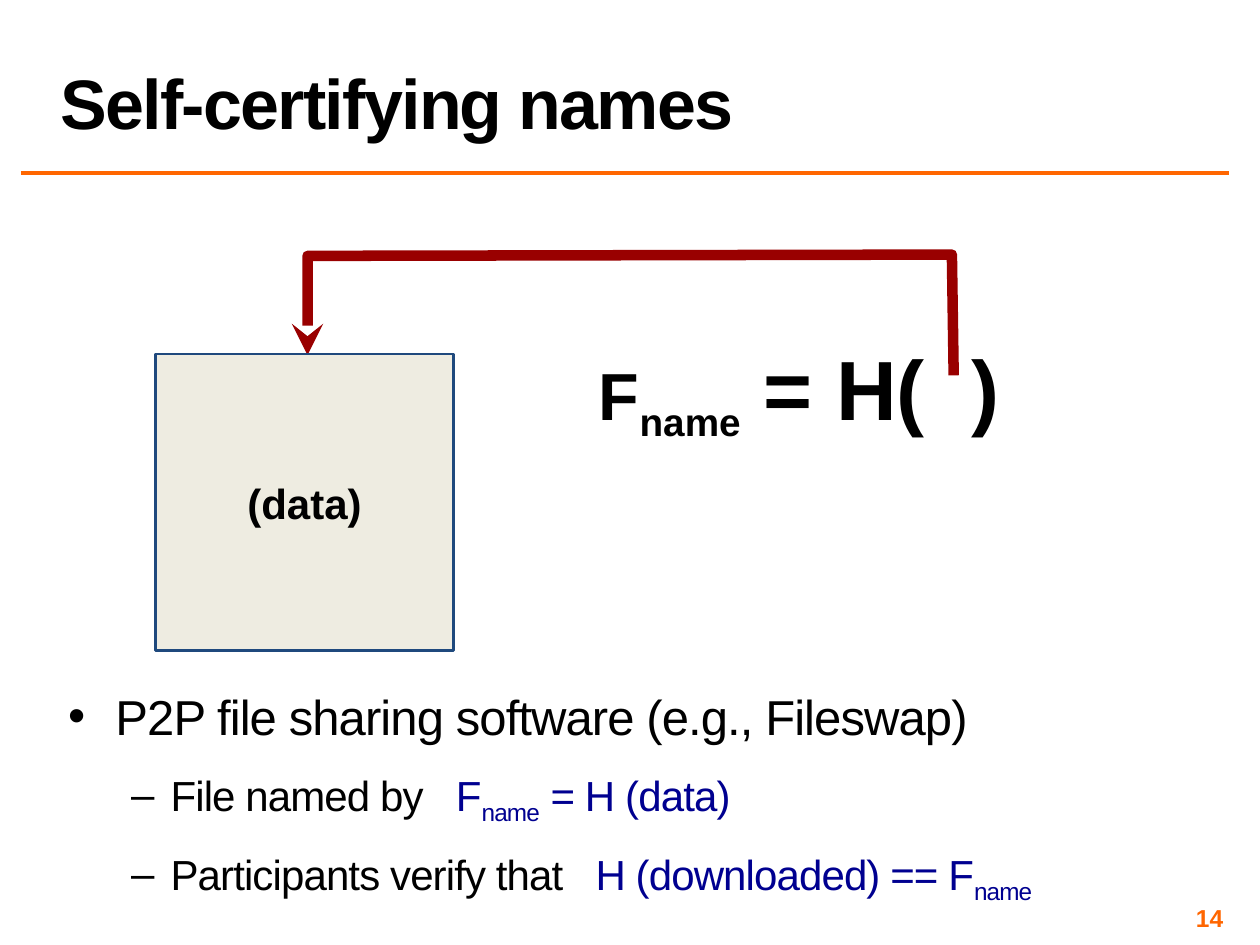
from dataclasses import dataclass

from lxml.etree import SubElement
from pptx import Presentation
from pptx.dml.color import RGBColor
from pptx.enum.shapes import MSO_CONNECTOR, MSO_SHAPE
from pptx.enum.text import MSO_ANCHOR, MSO_AUTO_SIZE, PP_ALIGN
from pptx.oxml.ns import qn
from pptx.util import Pt

COLOURS = {
    "text": "000000",
    "accent": "FF6600",
    "formula": "000090",
    "arrow": "990000",
    "data_fill": "EEECE1",
    "data_line": "1F497D",
}
FONT = "Arial"


@dataclass(frozen=True)
class Span:
    text: str
    colour: str = "text"
    size: float | None = None
    spacing: float = 0
    subscript: bool = False


@dataclass(frozen=True)
class Para:
    spans: tuple[Span, ...]
    size: float
    bold: bool = False
    align: PP_ALIGN = PP_ALIGN.LEFT
    level: int = 0
    bullet: str = ""
    margin: float = 0
    hanging: float = 0
    line_spacing: float = 1
    before: float = 0
    after: float = 0


def colour(name: str) -> RGBColor:
    return RGBColor.from_string(COLOURS[name])


def write_para(paragraph, para: Para) -> None:
    paragraph.alignment = para.align
    paragraph.level = para.level
    paragraph.line_spacing = para.line_spacing
    paragraph.space_before = Pt(para.before)
    paragraph.space_after = Pt(para.after)
    if para.bullet:
        properties = paragraph._p.get_or_add_pPr()
        properties.set("marL", str(Pt(para.margin)))
        properties.set("indent", str(-Pt(para.hanging)))
        SubElement(properties, qn("a:buFont"), typeface=FONT)
        SubElement(properties, qn("a:buChar"), char=para.bullet)
    paragraph.font.name = FONT
    paragraph.font.size = Pt(para.size)
    paragraph.font.bold = para.bold
    for span in para.spans:
        run = paragraph.add_run()
        run.text = span.text
        run.font.color.rgb = colour(span.colour)
        if span.size:
            run.font.size = Pt(span.size)
        if span.spacing:
            run.font._element.set("spc", str(round(span.spacing * 100)))
        if span.subscript:
            run.font._element.set("baseline", "-25000")


def write_text(shape, paras: list[Para], anchor: MSO_ANCHOR,
               inset_x: float, inset_y: float) -> None:
    frame = shape.text_frame
    frame.word_wrap = True
    frame.auto_size = MSO_AUTO_SIZE.NONE
    frame.vertical_anchor = anchor
    frame.margin_left = frame.margin_right = Pt(inset_x)
    frame.margin_top = frame.margin_bottom = Pt(inset_y)
    for index, para in enumerate(paras):
        paragraph = frame.add_paragraph() if index else frame.paragraphs[0]
        write_para(paragraph, para)


def add_text(page, left: float, top: float, width: float, height: float,
             paras: list[Para], inset: float,
             anchor: MSO_ANCHOR = MSO_ANCHOR.TOP) -> None:
    box = page.shapes.add_textbox(Pt(left), Pt(top), Pt(width), Pt(height))
    write_text(box, paras, anchor, inset, inset)


def add_title(page) -> None:
    title = page.shapes.title
    title.left, title.top = Pt(27.5), Pt(1.5)
    title.width, title.height = Pt(692.5), Pt(84)
    heading = Para((Span("Self-certifying names", spacing=-1),), 40, bold=True,
                   line_spacing=0.8)
    write_text(title, [heading], MSO_ANCHOR.BOTTOM, 7.2, 3.6)


def add_rule(page) -> None:
    rule = page.shapes.add_connector(
        MSO_CONNECTOR.STRAIGHT, Pt(12), Pt(98.75), Pt(702), Pt(98.75))
    rule.line.color.rgb = colour("accent")
    rule.line.width = Pt(2)
    SubElement(rule._element.spPr, qn("a:effectLst"))


def add_hash_arrow(page) -> None:
    start, *corners = [(545, 214.5), (544, 145.5), (175.75, 146.25), (175.75, 203)]
    builder = page.shapes.build_freeform(Pt(start[0]), Pt(start[1]))
    builder.add_line_segments([(Pt(x), Pt(y)) for x, y in corners], close=False)
    arrow = builder.convert_to_shape()
    arrow.shadow.inherit = False
    arrow.fill.background()
    arrow.line.color.rgb = colour("arrow")
    arrow.line.width = Pt(6)
    outline = arrow.line._get_or_add_ln()
    SubElement(outline, qn("a:round"))
    SubElement(outline, qn("a:tailEnd"), type="stealth")


def add_data_block(page) -> None:
    block = page.shapes.add_shape(
        MSO_SHAPE.RECTANGLE, Pt(88.75), Pt(202.25), Pt(170.5), Pt(169.5))
    block.shadow.inherit = False
    block.fill.solid()
    block.fill.fore_color.rgb = colour("data_fill")
    block.line.color.rgb = colour("data_line")
    block.line.width = Pt(1.5)
    label = Para((Span("(data)"),), 24, bold=True, align=PP_ALIGN.CENTER)
    write_text(block, [label], MSO_ANCHOR.MIDDLE, 7.2, 7.2)


def sub_point(*spans: Span) -> Para:
    return Para(spans, 24, level=1, bullet="–", margin=58.5, hanging=22.5,
                line_spacing=0.95, before=8, after=6)


def main() -> None:
    deck = Presentation()
    deck.slide_width, deck.slide_height = Pt(720), Pt(540)
    page = deck.slides.add_slide(deck.slide_layouts[5])

    add_title(page)
    add_rule(page)
    number = Para((Span("14", "accent"),), 14, bold=True, align=PP_ALIGN.RIGHT)
    add_text(page, 534, 516, 168, 16.5, [number], 3, MSO_ANCHOR.MIDDLE)
    add_hash_arrow(page)

    formula = Para((
        Span("F"),
        Span("name", subscript=True),
        Span(" = H(", size=48),
        Span(" ", size=48, spacing=13.3),
        Span(")", size=48),
    ), 38, bold=True, align=PP_ALIGN.CENTER)
    add_text(page, 285, 185, 343.5, 36, [formula], 7.2)

    tight = -0.5
    gap = Span(" ", spacing=11.8)
    name = Span("name", "formula", spacing=tight, subscript=True)
    points = [
        Para((Span("P2P file sharing software (e.g., Fileswap)", spacing=tight),),
             28, bullet="•", margin=27, hanging=27, after=6),
        sub_point(Span("File named by", spacing=tight), gap,
                  Span("F", "formula", spacing=tight), name,
                  Span(" = H (data)", "formula", spacing=tight)),
        sub_point(Span("Participants verify that", spacing=tight), gap,
                  Span("H (downloaded) == F", "formula", spacing=tight), name),
    ]
    add_text(page, 36, 389, 684, 135, points, 3)
    add_data_block(page)

    deck.save("out.pptx")


if __name__ == "__main__":
    main()
